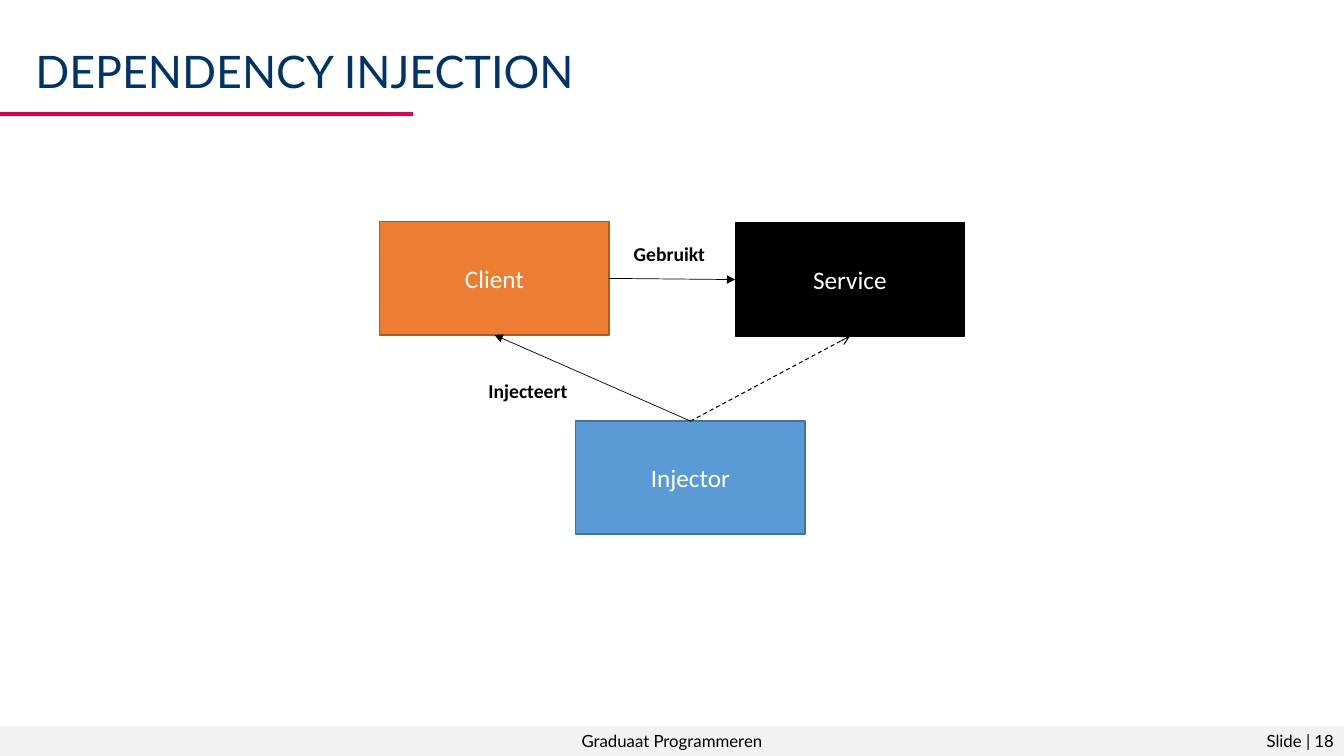
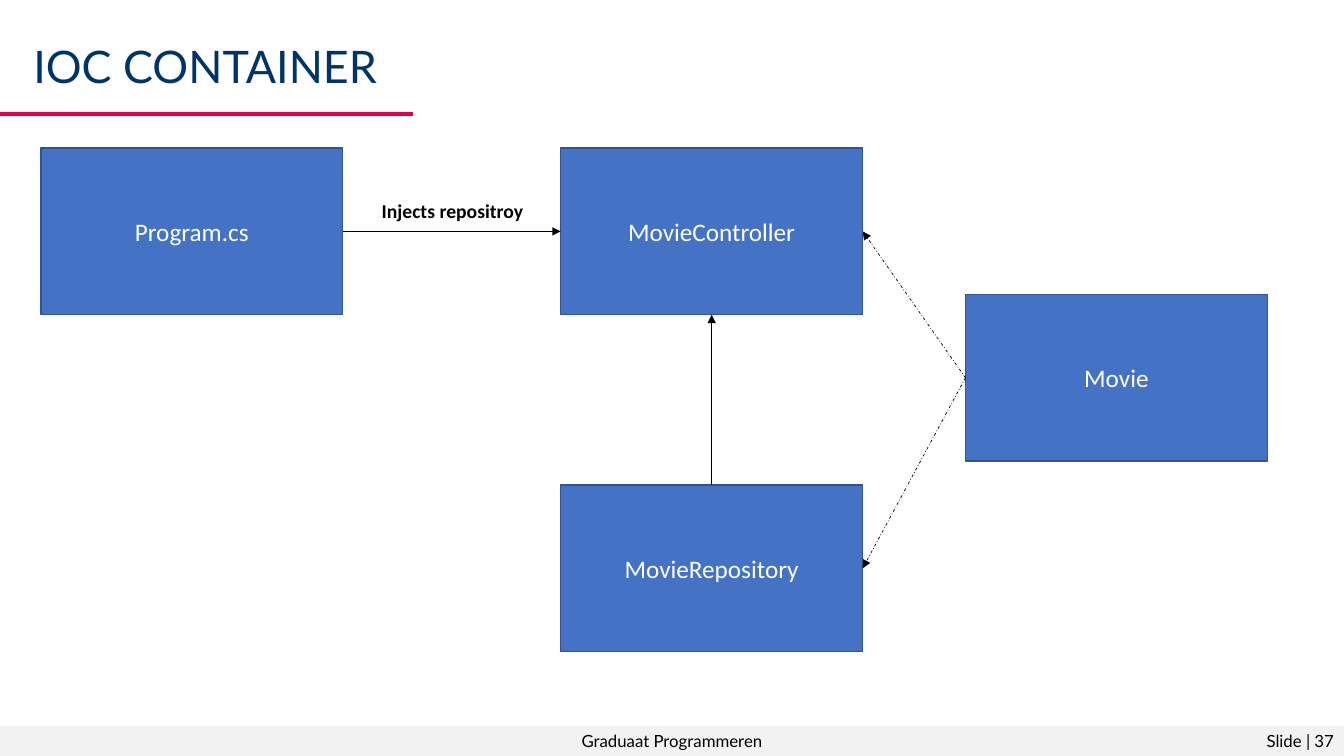
"""Build two slides with dependency injection diagrams."""
from dataclasses import dataclass

from lxml import etree
from pptx import Presentation
from pptx.dml.color import RGBColor
from pptx.enum.dml import MSO_LINE
from pptx.enum.shapes import MSO_CONNECTOR, MSO_SHAPE
from pptx.enum.text import MSO_ANCHOR, PP_ALIGN
from pptx.oxml.ns import qn
from pptx.util import Cm, Pt

STRAIGHT = MSO_CONNECTOR.STRAIGHT
RECTANGLE = MSO_SHAPE.RECTANGLE
DASH, DASH_DOT = MSO_LINE.DASH, MSO_LINE.DASH_DOT
LEFT, CENTER, RIGHT = PP_ALIGN.LEFT, PP_ALIGN.CENTER, PP_ALIGN.RIGHT
TOP, MIDDLE = MSO_ANCHOR.TOP, MSO_ANCHOR.MIDDLE
SIDE_TOP, SIDE_LEFT, SIDE_BOTTOM, SIDE_RIGHT = range(4)


@dataclass(frozen=True)
class Theme:
    """Colours, fonts, type sizes and page measures."""
    heading_font: str = "Lato"
    body_font: str = "Calibri"
    title_size: int = 32
    box_size: int = 18
    label_size: int = 14
    footer_size: int = 12
    title: str = "003469"
    accent: str = "E00049"
    band: str = "F2F2F2"
    black: str = "000000"
    white: str = "FFFFFF"
    orange: tuple = ("ED7D31", "AF5C24")
    sky: tuple = ("5B9BD5", "43739E")
    dark: tuple = ("000000", "000000")
    blue: tuple = ("4472C4", "325491")
    width: float = 33.87
    height: float = 19.05
    band_height: float = 0.76


T = Theme()


def rgb(value):
    """Return a colour from its hex value."""
    return RGBColor.from_string(value)


def write(sp, text, font, size, color, align=LEFT, anchor=TOP, bold=False):
    """Write one formatted paragraph in a shape."""
    tf = sp.text_frame
    tf.text = text
    tf.vertical_anchor = anchor
    p = tf.paragraphs[0]
    p.alignment = align
    r = p.runs[0]
    r.font.name, r.font.size, r.font.bold = font, Pt(size), bold
    r.font.color.rgb = rgb(color)
    return p


def add_text(s, x, y, w, h, text, font, size, color, wrap=True, **style):
    """Add a text box and return its paragraph."""
    sp = s.shapes.add_textbox(Cm(x), Cm(y), Cm(w), Cm(h))
    sp.text_frame.word_wrap = wrap
    return write(sp, text, font, size, color, **style)


def add_rect(s, x, y, w, h, fill, line=None):
    """Add a flat rectangle, outlined if a line colour is given."""
    sp = s.shapes.add_shape(RECTANGLE, Cm(x), Cm(y), Cm(w), Cm(h))
    sp.shadow.inherit = False
    sp.fill.solid()
    sp.fill.fore_color.rgb = rgb(fill)
    if line:
        sp.line.color.rgb = rgb(line)
        sp.line.width = Pt(1)
    else:
        sp.line.fill.background()
    return sp


def add_box(s, x, y, size, text, colors):
    """Add a diagram box with a centred name."""
    sp = add_rect(s, x, y, *size, *colors)
    write(sp, text, T.body_font, T.box_size, T.white, CENTER, MIDDLE)
    return sp


def add_label(s, x, y, w, text):
    """Add a bold caption beside an arrow."""
    add_text(s, x, y, w, 0.86, text, T.body_font, T.label_size, T.black,
             wrap=False, bold=True)


def add_line(s, x1, y1, x2, y2, color, width):
    """Add a straight line without a shadow."""
    line = s.shapes.add_connector(STRAIGHT, Cm(x1), Cm(y1), Cm(x2), Cm(y2))
    line.line.color.rgb = rgb(color)
    line.line.width = Pt(width)
    etree.SubElement(line._element.spPr, qn("a:effectLst"))
    return line


def add_arrow(s, start, start_side, end, end_side,
              width=0.5, dash=None, head="triangle"):
    """Join the sides of two boxes with an arrow."""
    arrow = add_line(s, 0, 0, 0, 0, T.black, width)
    arrow.begin_connect(start, start_side)
    arrow.end_connect(end, end_side)
    if dash:
        arrow.line.dash_style = dash
    ln = arrow._element.spPr.find(qn("a:ln"))
    etree.SubElement(ln, qn("a:tailEnd"), type=head)


def add_page(prs, title, x, y, number):
    """Add a slide with footer, accent line and title."""
    s = prs.slides.add_slide(prs.slide_layouts[6])
    top = T.height - T.band_height
    band = add_rect(s, 0, top, T.width, T.band_height, T.band)
    footer = (T.heading_font, T.footer_size, T.black)
    write(band, "Graduaat Programmeren", *footer, align=CENTER)
    add_text(s, T.width - 7.62, top, 7.62, T.band_height,
             f"Slide | {number}", *footer, align=RIGHT)
    add_line(s, 0, 2.87, 10.41, 2.87, T.accent, 3)
    p = add_text(s, x, y, 30.94, 1.88, title,
                 T.heading_font, T.title_size, T.title)
    p.line_spacing = 0.9
    return s


def add_injection_slide(prs):
    """Show how an injector links a client and a service."""
    s = add_page(prs, "DEPENDENCY INJECTION", 0.64, 1.12, 18)
    size = (5.78, 2.85)
    client = add_box(s, 9.57, 5.59, size, "Client", T.orange)
    injector = add_box(s, 14.51, 10.61, size, "Injector", T.sky)
    service = add_box(s, 18.53, 5.62, size, "Service", T.dark)
    add_arrow(s, client, SIDE_RIGHT, service, SIDE_LEFT)
    add_arrow(s, injector, SIDE_TOP, service, SIDE_BOTTOM, 0.75, DASH, "arrow")
    add_arrow(s, injector, SIDE_TOP, client, SIDE_BOTTOM)
    add_label(s, 15.72, 5.97, 2.34, "Gebruikt")
    add_label(s, 12.06, 9.42, 2.7, "Injecteert")


def add_container_slide(prs):
    """Show the classes around an IoC container."""
    s = add_page(prs, "IOC CONTAINER", 0.59, 1.0, 37)
    program, controller, repository, movie = [
        add_box(s, x, y, (7.61, 4.2), name, T.blue)
        for name, x, y in (("Program.cs", 1.03, 3.73),
                           ("MovieController", 14.13, 3.73),
                           ("MovieRepository", 14.13, 12.22),
                           ("Movie", 24.33, 7.42))]
    add_arrow(s, program, SIDE_RIGHT, controller, SIDE_LEFT)
    add_arrow(s, repository, SIDE_TOP, controller, SIDE_BOTTOM)
    for target in (controller, repository):
        add_arrow(s, movie, SIDE_LEFT, target, SIDE_RIGHT, dash=DASH_DOT)
    add_label(s, 9.37, 4.88, 4.11, "Injects repositroy")


def main():
    """Build and save the presentation."""
    prs = Presentation()
    prs.slide_width, prs.slide_height = Cm(T.width), Cm(T.height)
    add_injection_slide(prs)
    add_container_slide(prs)
    prs.save("out.pptx")


if __name__ == "__main__":
    main()
